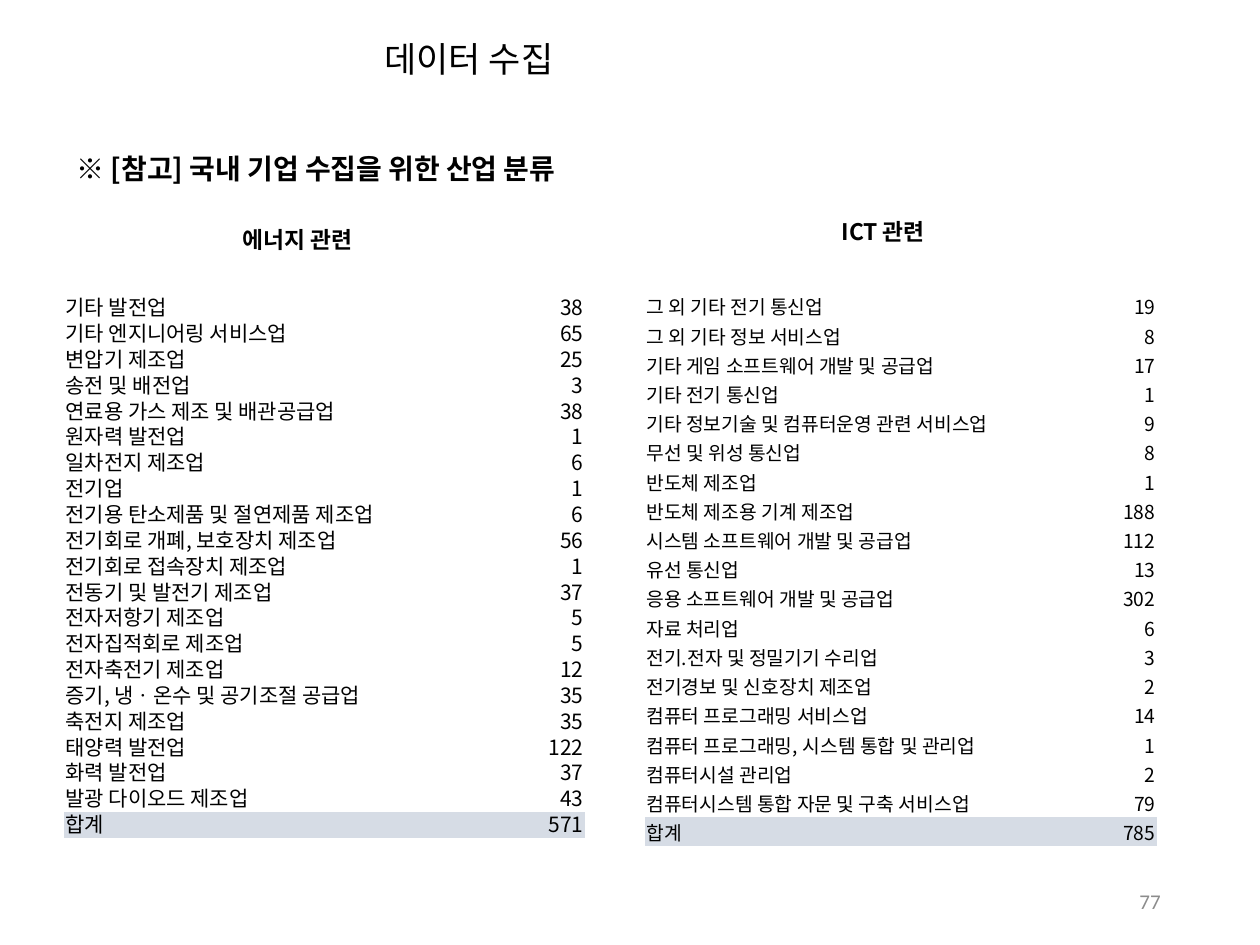
import pptx
import pptx.util
import pptx.dml.color
import pptx.enum.text
import pptx.oxml.ns
from dataclasses import dataclass
from lxml import etree

RGBColor = pptx.dml.color.RGBColor
ALIGN = pptx.enum.text.PP_ALIGN
ANCHOR = pptx.enum.text.MSO_ANCHOR
Pt = pptx.util.Pt
Inches = pptx.util.Inches

BLACK = RGBColor(0x00, 0x00, 0x00)
GRAY = RGBColor(0x8C, 0x8C, 0x8C)
TOTAL_FILL = RGBColor(0xD6, 0xDC, 0xE5)
KOREAN = "Noto Sans CJK KR"
LATIN = "Calibri"
SLIDE_W, SLIDE_H = Inches(10), Inches(7.5)


@dataclass(frozen=True)
class Box:
    left: float
    top: float
    width: float
    height: float

    def emu(self) -> tuple[int, ...]:
        return (
            round(self.left / 100 * SLIDE_W),
            round(self.top / 100 * SLIDE_H),
            round(self.width / 100 * SLIDE_W),
            round(self.height / 100 * SLIDE_H),
        )


@dataclass(frozen=True)
class Style:
    size: float
    bold: bool = False
    color: RGBColor = BLACK
    font: str = KOREAN
    align: ALIGN = ALIGN.LEFT
    spacing: float = 1.0


@dataclass(frozen=True)
class Label:
    text: str
    box: Box
    style: Style
    anchor: ANCHOR = ANCHOR.TOP


@dataclass(frozen=True)
class IndustryTable:
    box: Box
    name_share: float
    size: float
    spacing: float
    counts: dict[str, int]


LABELS = [
    Label("※ [참고] 국내 기업 수집을 위한 산업 분류",
          Box(5.1, 15.33, 87.7, 4.93), Style(16, bold=True)),
    Label("에너지 관련", Box(16.1, 23.2, 15, 4.27),
          Style(13, bold=True, align=ALIGN.CENTER)),
    Label("ICT 관련", Box(62.6, 22.4, 15, 4.27),
          Style(13, bold=True, align=ALIGN.CENTER)),
    Label("77", Box(70.6, 92.67, 22.5, 5.33),
          Style(12, color=GRAY, font=LATIN, align=ALIGN.RIGHT), ANCHOR.MIDDLE),
]

ENERGY = IndustryTable(Box(5.1, 31.2, 41.3, 57.47), 0.68, 12, 0.8, {
    "기타 발전업": 38,
    "기타 엔지니어링 서비스업": 65,
    "변압기 제조업": 25,
    "송전 및 배전업": 3,
    "연료용 가스 제조 및 배관공급업": 38,
    "원자력 발전업": 1,
    "일차전지 제조업": 6,
    "전기업": 1,
    "전기용 탄소제품 및 절연제품 제조업": 6,
    "전기회로 개폐, 보호장치 제조업": 56,
    "전기회로 접속장치 제조업": 1,
    "전동기 및 발전기 제조업": 37,
    "전자저항기 제조업": 5,
    "전자집적회로 제조업": 5,
    "전자축전기 제조업": 12,
    "증기, 냉ㆍ온수 및 공기조절 공급업": 35,
    "축전지 제조업": 35,
    "태양력 발전업": 122,
    "화력 발전업": 37,
    "발광 다이오드 제조업": 43,
})

ICT = IndustryTable(Box(51.2, 30.8, 40.6, 58), 0.85, 11, 1.0, {
    "그 외 기타 전기 통신업": 19,
    "그 외 기타 정보 서비스업": 8,
    "기타 게임 소프트웨어 개발 및 공급업": 17,
    "기타 전기 통신업": 1,
    "기타 정보기술 및 컴퓨터운영 관련 서비스업": 9,
    "무선 및 위성 통신업": 8,
    "반도체 제조업": 1,
    "반도체 제조용 기계 제조업": 188,
    "시스템 소프트웨어 개발 및 공급업": 112,
    "유선 통신업": 13,
    "응용 소프트웨어 개발 및 공급업": 302,
    "자료 처리업": 6,
    "전기.전자 및 정밀기기 수리업": 3,
    "전기경보 및 신호장치 제조업": 2,
    "컴퓨터 프로그래밍 서비스업": 14,
    "컴퓨터 프로그래밍, 시스템 통합 및 관리업": 1,
    "컴퓨터시설 관리업": 2,
    "컴퓨터시스템 통합 자문 및 구축 서비스업": 79,
})


def write(tf, text: str, style: Style) -> None:
    p = tf.paragraphs[0]
    p.alignment = style.align
    p.line_spacing = style.spacing
    p.space_before = Pt(0)
    r = p.add_run()
    r.text = text
    r.font.size = Pt(style.size)
    r.font.bold = style.bold
    r.font.color.rgb = style.color
    r.font.name = style.font
    ea = etree.SubElement(r.font._element, pptx.oxml.ns.qn("a:ea"))
    ea.set("typeface", style.font)


def add_label(s, label: Label) -> None:
    tf = s.shapes.add_textbox(*label.box.emu()).text_frame
    tf.word_wrap = True
    tf.vertical_anchor = label.anchor
    write(tf, label.text, label.style)


def add_title(s, text: str) -> None:
    sp = s.shapes.title
    sp.left, sp.top, sp.width, sp.height = Box(29.5, 3.33, 68.5, 5.73).emu()
    sp.text_frame.vertical_anchor = ANCHOR.MIDDLE
    write(sp.text_frame, text, Style(20))


def add_industry_table(s, spec: IndustryTable) -> None:
    rows = [*spec.counts.items(), ("합계", sum(spec.counts.values()))]
    left, top, width, height = spec.box.emu()
    table = s.shapes.add_table(len(rows), 2, left, top, width, height).table
    table.first_row = table.horz_banding = False
    table.columns[0].width = round(width * spec.name_share)
    table.columns[1].width = width - table.columns[0].width
    for i, row in enumerate(rows):
        table.rows[i].height = height // len(rows)
        for j, value in enumerate(row):
            cell = table.cell(i, j)
            cell.margin_left = cell.margin_right = cell.margin_top = Inches(0.01)
            cell.margin_bottom = 0
            cell.vertical_anchor = ANCHOR.MIDDLE
            if i == len(rows) - 1:
                cell.fill.solid()
                cell.fill.fore_color.rgb = TOTAL_FILL
            else:
                cell.fill.background()
            align = ALIGN.RIGHT if j else ALIGN.LEFT
            write(cell.text_frame, str(value),
                  Style(spec.size, align=align, spacing=spec.spacing))
    style_id = table._tbl.tblPr.find(pptx.oxml.ns.qn("a:tableStyleId"))
    style_id.text = "{2D5ABB26-0587-4C30-8999-92F81FD0307C}"


def main() -> None:
    prs = pptx.Presentation()
    prs.slide_width, prs.slide_height = SLIDE_W, SLIDE_H
    s = prs.slides.add_slide(prs.slide_layouts[5])
    add_title(s, "데이터 수집")
    for spec in (ENERGY, ICT):
        add_industry_table(s, spec)
    for label in LABELS:
        add_label(s, label)
    prs.save("out.pptx")


if __name__ == "__main__":
    main()
